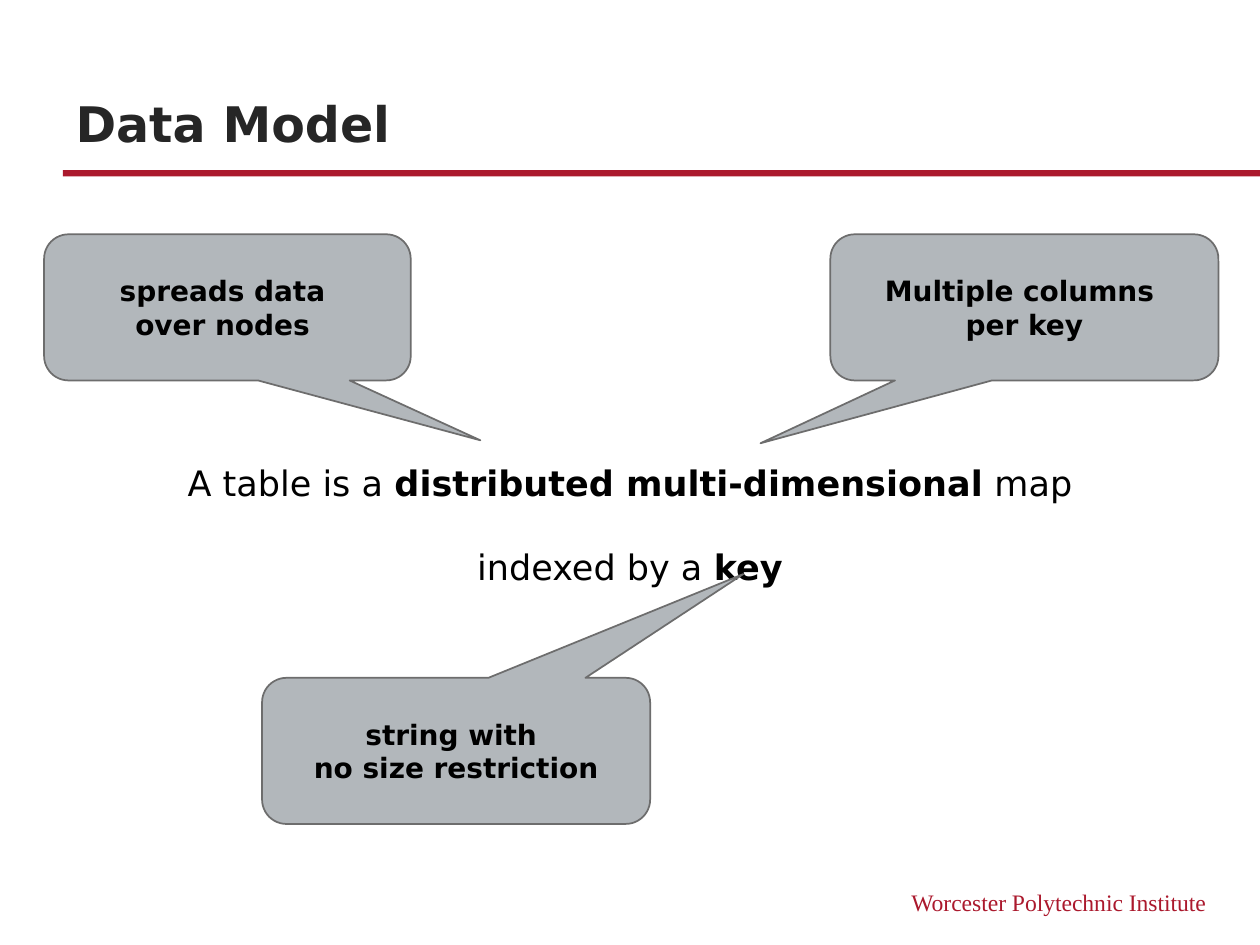
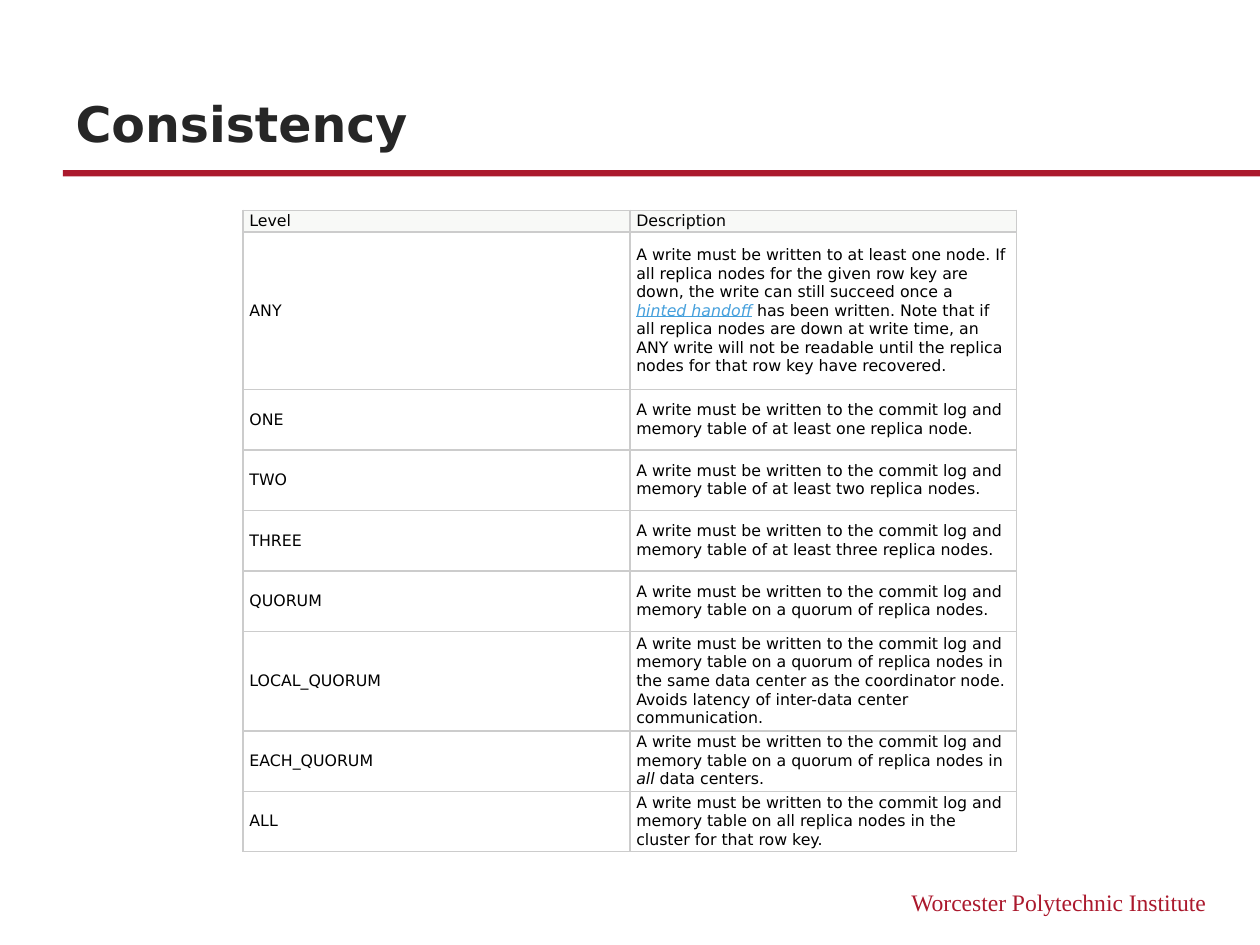
from lxml.etree import SubElement
from pptx import Presentation
from pptx.dml.color import RGBColor
from pptx.enum.shapes import MSO_SHAPE
from pptx.enum.text import MSO_ANCHOR, MSO_AUTO_SIZE, PP_ALIGN
from pptx.oxml.ns import qn
from pptx.util import Inches, Pt

COLORS = {
    "white": "FFFFFF",
    "crimson": "AB192D",
    "title": "262626",
    "text": "000000",
    "callout": "B2B7BB",
    "callout_line": "6D6D6D",
    "header": "F8F9F7",
    "border": "CCCCCC",
    "link": "46A0DC",
}
SANS = "DejaVu Sans"
SERIF = "Times New Roman"

WRITE = "A write must be written to the commit log and memory table "
# Each description is a list of (text, format) runs.
LEVELS = [
    ("Level", [("Description", {})]),
    ("ANY", [
        ("A write must be written to at least one node. If all replica nodes for the given "
         "row key are down, the write can still succeed once a ", {}),
        ("hinted handoff", {"color": "link", "italic": True, "underline": True}),
        (" has been written. Note that if all replica nodes are down at write time, an ANY "
         "write will not be readable until the replica nodes for that row key have "
         "recovered.", {}),
    ]),
    ("ONE", [(WRITE + "of at least one replica node.", {})]),
    ("TWO", [(WRITE + "of at least two replica nodes.", {})]),
    ("THREE", [(WRITE + "of at least three replica nodes.", {})]),
    ("QUORUM", [(WRITE + "on a quorum of replica nodes.", {})]),
    ("LOCAL_QUORUM", [
        (WRITE + "on a quorum of replica nodes in the same data center as the coordinator "
         "node. Avoids latency of inter-data center communication.", {}),
    ]),
    ("EACH_QUORUM", [
        (WRITE + "on a quorum of replica nodes in ", {}),
        ("all", {"italic": True}),
        (" data centers.", {}),
    ]),
    ("ALL", [(WRITE + "on all replica nodes in the cluster for that row key.", {})]),
]
ROW_HEIGHTS = [0.17, 1.25, 0.48, 0.48, 0.48, 0.48, 0.79, 0.48, 0.48]


def rgb(name):
    return RGBColor.from_string(COLORS[name])


def add_text(paragraph, text, size, color="text", font=SANS, bold=False, italic=False,
             underline=False):
    run = paragraph.add_run()
    run.text = text
    run.font.name = font
    run.font.size = Pt(size)
    run.font.color.rgb = rgb(color)
    run.font.bold = bold
    run.font.italic = italic
    run.font.underline = underline


def place(shape, left, top, width, height):
    shape.left, shape.top = Inches(left), Inches(top)
    shape.width, shape.height = Inches(width), Inches(height)


def add_filled_shape(slide, preset, box, fill):
    shape = slide.shapes.add_shape(preset, *map(Inches, box))
    shape.shadow.inherit = False
    shape.fill.solid()
    shape.fill.fore_color.rgb = rgb(fill)
    return shape


def add_slide(presentation, layout_index, title):
    """Add a slide with the shared rule, footer and title style."""
    slide = presentation.slides.add_slide(presentation.slide_layouts[layout_index])
    rule = add_filled_shape(slide, MSO_SHAPE.RECTANGLE, (0.5, 1.35, 9.5, 0.05), "crimson")
    rule.line.fill.background()

    footer = slide.shapes.add_textbox(Inches(6), Inches(7), Inches(3.67), Inches(0.33))
    footer.text_frame.word_wrap = True
    paragraph = footer.text_frame.paragraphs[0]
    paragraph.alignment = PP_ALIGN.RIGHT
    add_text(paragraph, "Worcester Polytechnic Institute", size=13.5, color="crimson",
             font=SERIF)

    place(slide.shapes.title, 0.5, 0.38, 9, 0.88)
    frame = slide.shapes.title.text_frame
    frame.auto_size = MSO_AUTO_SIZE.NONE
    frame.vertical_anchor = MSO_ANCHOR.BOTTOM
    frame.paragraphs[0].alignment = PP_ALIGN.LEFT
    add_text(frame.paragraphs[0], title, size=28, color="title", bold=True)
    return slide


def fill_statement(body, runs):
    """Write one centred, unbulleted sentence of (text, bold) runs."""
    place(body, 1.02, 3.28, 7.96, 3)
    body.text_frame.auto_size = MSO_AUTO_SIZE.NONE
    paragraph = body.text_frame.paragraphs[0]
    properties = paragraph._p.get_or_add_pPr()
    properties.set("marL", "0")
    properties.set("indent", "0")
    SubElement(properties, qn("a:buNone"))
    paragraph.alignment = PP_ALIGN.CENTER
    paragraph.line_spacing = 2.0
    paragraph.space_before = Pt(0)
    paragraph.space_after = Pt(6)
    for text, bold in runs:
        add_text(paragraph, text, size=20, bold=bold)


def add_callout(slide, left, top, width, tip, lines):
    """Add a speech bubble; tip is its pointer offset as a share of the size."""
    callout = add_filled_shape(slide, MSO_SHAPE.ROUNDED_RECTANGULAR_CALLOUT,
                               (left, top, width, 1.16), "callout")
    callout.adjustments[0], callout.adjustments[1] = tip
    callout.line.color.rgb = rgb("callout_line")
    callout.line.width = Pt(1)
    frame = callout.text_frame
    frame.word_wrap = False
    frame.vertical_anchor = MSO_ANCHOR.MIDDLE
    for index, line in enumerate(lines):
        paragraph = frame.add_paragraph() if index else frame.paragraphs[0]
        paragraph.alignment = PP_ALIGN.CENTER
        add_text(paragraph, line, size=16, bold=True)


def set_borders(cell):
    properties = cell._tc.get_or_add_tcPr()
    for side in ("lnL", "lnR", "lnT", "lnB"):
        line = SubElement(properties, qn(f"a:{side}"), w=str(Pt(1)))
        fill = SubElement(line, qn("a:solidFill"))
        SubElement(fill, qn("a:srgbClr"), val=COLORS["border"])


def fill_cell(cell, runs, fill):
    set_borders(cell)
    cell.fill.solid()
    cell.fill.fore_color.rgb = rgb(fill)
    cell.vertical_anchor = MSO_ANCHOR.MIDDLE
    cell.margin_left, cell.margin_right = Inches(0.05), Inches(0.08)
    cell.margin_top = cell.margin_bottom = Inches(0.01)
    for text, text_format in runs:
        add_text(cell.text_frame.paragraphs[0], text, size=9, **text_format)


def add_level_table(slide):
    frame = slide.shapes.add_table(len(LEVELS), 2, Inches(1.93), Inches(1.67),
                                   Inches(6.14), Inches(sum(ROW_HEIGHTS)))
    table = frame.table
    table.first_row = table.horz_banding = False
    for row_index, (level, description) in enumerate(LEVELS):
        table.rows[row_index].height = Inches(ROW_HEIGHTS[row_index])
        fill = "white" if row_index else "header"
        fill_cell(table.cell(row_index, 0), [(level, {})], fill)
        fill_cell(table.cell(row_index, 1), description, fill)


def main():
    presentation = Presentation()
    presentation.slide_width = Inches(10)
    presentation.slide_height = Inches(7.5)

    # Data model: statement with three callouts
    slide = add_slide(presentation, 1, "Data Model")
    fill_statement(slide.placeholders[1], [
        ("A table is a ", False),
        ("distributed multi-dimensional", True),
        (" map indexed by a ", False),
        ("key", True),
    ])
    add_callout(slide, 0.35, 1.86, 2.91, (0.69, 0.91), ["spreads data ", "over nodes "])
    add_callout(slide, 6.59, 1.86, 3.08, (-0.68, 0.93), ["Multiple columns ", "per key"])
    add_callout(slide, 2.08, 5.38, 3.08, (0.74, -1.21),
                ["string with ", "no size restriction"])

    # Consistency: table of write levels
    slide = add_slide(presentation, 5, "Consistency")
    add_level_table(slide)

    presentation.save("out.pptx")


if __name__ == "__main__":
    main()
